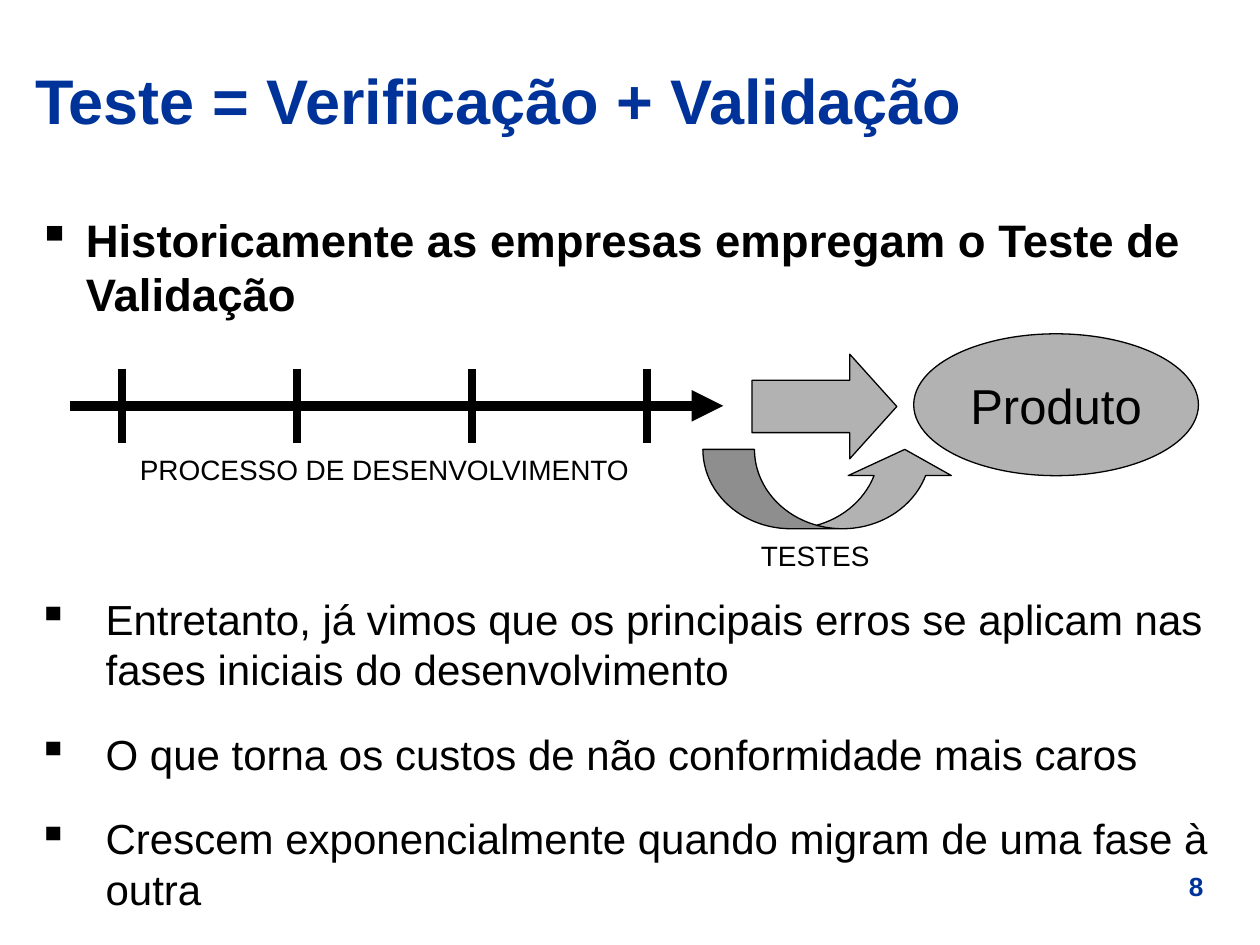
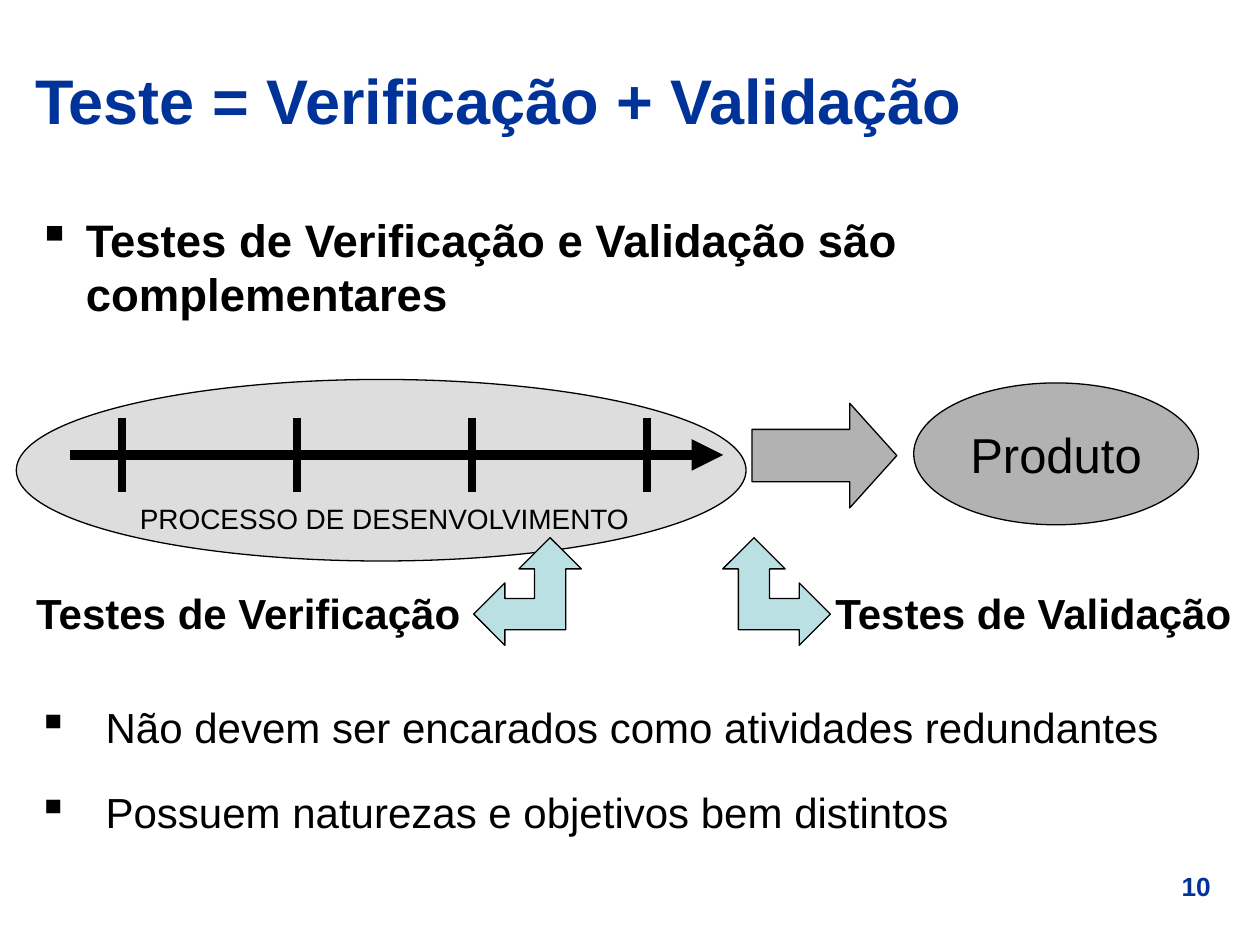
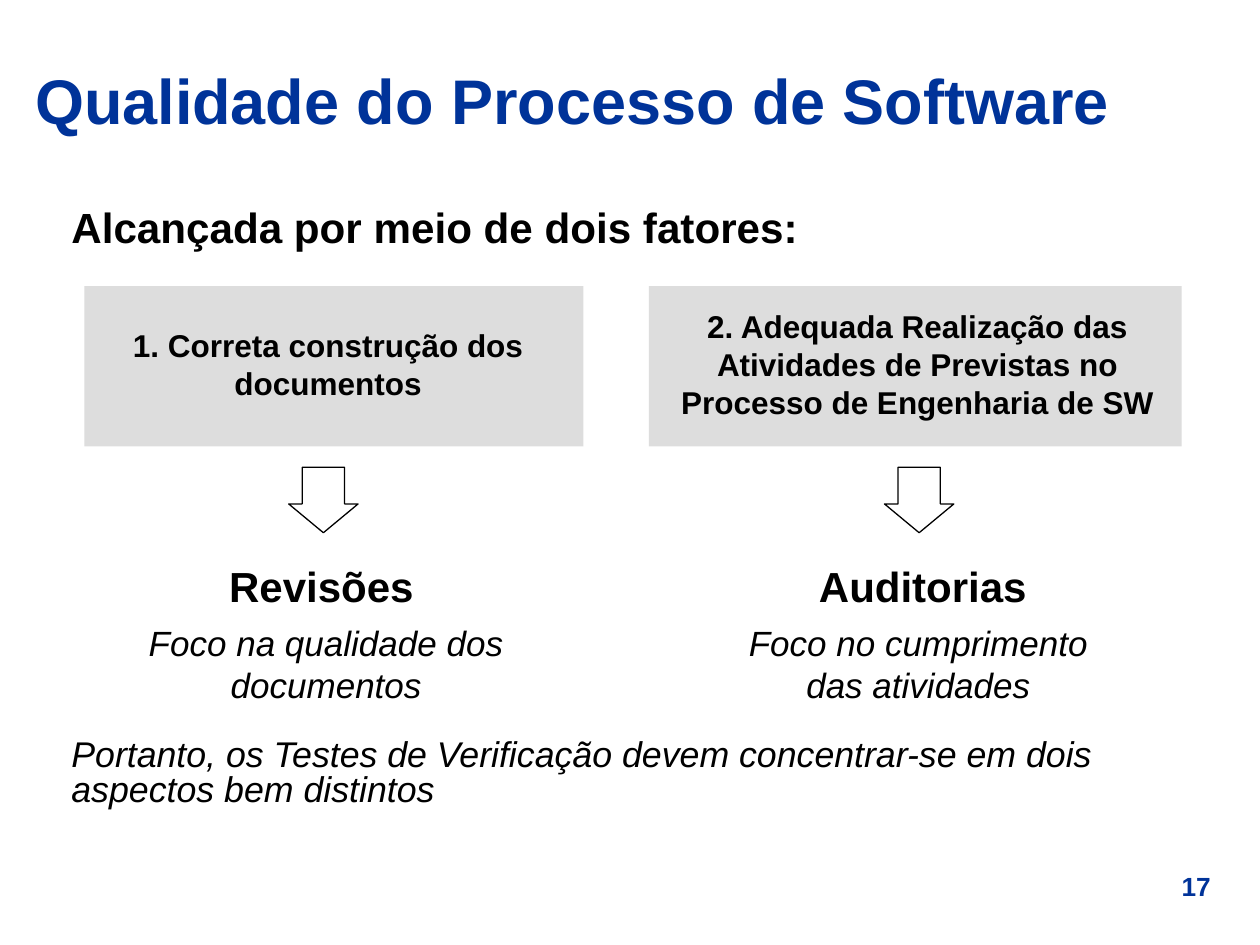
import pptx
import pptx.dml.color
import pptx.enum.shapes
import pptx.enum.text
import pptx.oxml.ns
import pptx.util
from lxml import etree

Cm = pptx.util.Cm
Pt = pptx.util.Pt
RGBColor = pptx.dml.color.RGBColor
MSO_SHAPE = pptx.enum.shapes.MSO_SHAPE
PP_ALIGN = pptx.enum.text.PP_ALIGN
MSO_ANCHOR = pptx.enum.text.MSO_ANCHOR
qn = pptx.oxml.ns.qn

FONT = "Arial"
NAVY = RGBColor(0x00, 0x33, 0x99)
BLACK = RGBColor(0x00, 0x00, 0x00)
WHITE = RGBColor(0xFF, 0xFF, 0xFF)
PALE_GRAY = RGBColor(0xDD, 0xDD, 0xDD)
MID_GRAY = RGBColor(0xB2, 0xB2, 0xB2)
AQUA = RGBColor(0xBB, 0xE0, 0xE3)

BODY_LEFT, BODY_TOP, BODY_WIDTH = 0.51, 4.14, 24.41
TICK_LEFT, TICK_GAP, TICK_HALF = 2.46, 3.53, 0.75


def add_run(paragraph, text, size, color=BLACK, bold=False, italic=False):
    run = paragraph.add_run()
    run.text = text
    run.font.name = FONT
    run.font.size = Pt(size)
    run.font.color.rgb = color
    run.font.bold = bold
    run.font.italic = italic


def add_text(slide, text, left, top, width, height, size, align=PP_ALIGN.LEFT,
             anchor=MSO_ANCHOR.TOP, wrap=True, spacing=None, **style):
    box = slide.shapes.add_textbox(Cm(left), Cm(top), Cm(width), Cm(height))
    frame = box.text_frame
    frame.word_wrap = wrap
    frame.vertical_anchor = anchor
    paragraph = frame.paragraphs[0]
    paragraph.alignment = align
    paragraph.line_spacing = spacing
    add_run(paragraph, text, size, **style)


def add_bullets(slide, items, top, height, size, indent, before, after, bold=False):
    box = slide.shapes.add_textbox(Cm(BODY_LEFT), Cm(top), Cm(BODY_WIDTH), Cm(height))
    frame = box.text_frame
    frame.word_wrap = True
    for index, item in enumerate(items):
        paragraph = frame.add_paragraph() if index else frame.paragraphs[0]
        if index:
            paragraph.space_before = Pt(before)
        paragraph.space_after = Pt(after)
        properties = paragraph._p.get_or_add_pPr()
        properties.set("marL", str(Cm(indent)))
        properties.set("indent", str(-Cm(indent)))
        bullet_color = etree.SubElement(properties, qn("a:buClr"))
        etree.SubElement(bullet_color, qn("a:srgbClr"), val=str(BLACK))
        etree.SubElement(properties, qn("a:buChar"), char="▪")
        add_run(paragraph, item, size, bold=bold)


def add_lead(slide, text):
    """Add the bold opening bullet of a slide."""
    add_bullets(slide, [text], BODY_TOP, 12.8, 26, 0.97, 8.1, 13, bold=True)


def add_points(slide, items, top, height):
    """Add the plain bullets below a diagram."""
    add_bullets(slide, items, top, height, 24, 1.37, 7.5, 12)


def add_figure(slide, kind, left, top, width, height, fill, outlined=True, adjustments=()):
    figure = slide.shapes.add_shape(kind, Cm(left), Cm(top), Cm(width), Cm(height))
    figure.shadow.inherit = False
    figure.fill.solid()
    figure.fill.fore_color.rgb = fill
    if outlined:
        figure.line.color.rgb = BLACK
        figure.line.width = Pt(0.75)
    else:
        figure.line.fill.background()
    for index, value in enumerate(adjustments):
        figure.adjustments[index] = value
    return figure


def add_line(slide, x1, y1, x2, y2, width, arrow=False):
    line = slide.shapes.add_connector(
        pptx.enum.shapes.MSO_CONNECTOR.STRAIGHT, Cm(x1), Cm(y1), Cm(x2), Cm(y2))
    line.line.color.rgb = BLACK
    line.line.width = Pt(width)
    if arrow:
        etree.SubElement(line.line._get_or_add_ln(), qn("a:tailEnd"), type="triangle")
    etree.SubElement(line._element.spPr, qn("a:effectLst"))


def add_process(slide, axis):
    """Draw the development timeline at height axis, leading to the product."""
    add_line(slide, 1.42, axis, 14.58, axis, 6, arrow=True)
    for step in range(4):
        tick = TICK_LEFT + step * TICK_GAP
        add_line(slide, tick, axis - TICK_HALF, tick, axis + TICK_HALF, 4.5)
    add_text(slide, "PROCESSO DE DESENVOLVIMENTO", 2.57, axis + 0.81, 10.41, 0.94, 16,
             wrap=False)
    add_figure(slide, MSO_SHAPE.RIGHT_ARROW, 15.16, axis - 1.04, 2.92, 2.11, MID_GRAY,
               adjustments=(0.5, 0.45))
    product = add_figure(slide, MSO_SHAPE.OVAL, 18.42, axis - 1.45, 5.74, 2.86, MID_GRAY)
    frame = product.text_frame
    frame.word_wrap = False
    frame.vertical_anchor = MSO_ANCHOR.MIDDLE
    frame.paragraphs[0].alignment = PP_ALIGN.CENTER
    add_run(frame.paragraphs[0], "Produto", 28)


def add_slide(deck, title, number):
    slide = deck.slides.add_slide(deck.slide_layouts[6])
    add_text(slide, number, 23.11, 17.42, 2.01, 0.89, 15, align=PP_ALIGN.CENTER,
             color=NAVY, bold=True)
    add_text(slide, title, 0.46, 0.71, 24.43, 2.57, 36, anchor=MSO_ANCHOR.MIDDLE,
             color=NAVY, bold=True)
    return slide


def add_validation_slide(deck):
    slide = add_slide(deck, "Teste = Verificação + Validação", "8")
    add_lead(slide, "Historicamente as empresas empregam o Teste de Validação")
    add_process(slide, 8.18)
    add_figure(slide, MSO_SHAPE.CURVED_UP_ARROW, 14.17, 9.06, 5.11, 1.6, MID_GRAY,
               adjustments=(0.65, 1.3, 0.33))
    add_text(slide, "TESTES", 15.09, 10.74, 2.69, 0.94, 16, wrap=False)
    add_points(slide, [
        "Entretanto, já vimos que os principais erros se aplicam nas fases iniciais "
        "do desenvolvimento",
        "O que torna os custos de não conformidade mais caros",
        "Crescem exponencialmente quando migram de uma fase à outra",
    ], 11.84, 5.41)


def add_complementary_slide(deck):
    slide = add_slide(deck, "Teste = Verificação + Validação", "10")
    add_figure(slide, MSO_SHAPE.OVAL, 0.33, 7.65, 14.71, 3.66, PALE_GRAY)
    add_lead(slide, "Testes de Verificação e Validação são complementares")
    add_process(slide, 9.17)
    for text, text_left, text_width, arrow_left, rotation in (
            ("Testes de Verificação", 0.48, 9.4, 9.55, 0),
            ("Testes de Validação", 16.59, 8.81, 14.57, 90)):
        add_text(slide, text, text_left, 11.71, text_width, 1.42, 24, bold=True)
        arrow = add_figure(slide, MSO_SHAPE.LEFT_UP_ARROW, arrow_left, 10.84, 2.17, 2.17,
                           AQUA, adjustments=(0.29, 0.29, 0.29))
        arrow.rotation = rotation
    add_points(slide, [
        "Não devem ser encarados como atividades redundantes",
        "Possuem naturezas e objetivos bem distintos",
    ], 14.02, 3.1)


def add_factor(slide, card, caption, arrow_left, activity, focus):
    """Add one factor; each part is its text, if any, with its left and width."""
    card_left, card_width = card
    add_figure(slide, MSO_SHAPE.RECTANGLE, card_left, 5.77, card_width, 3.23, PALE_GRAY,
               outlined=False)
    text, left, width, height = caption
    add_text(slide, text, left, 7.34 - height / 2, width, height, 18,
             align=PP_ALIGN.CENTER, anchor=MSO_ANCHOR.MIDDLE, bold=True)
    add_figure(slide, MSO_SHAPE.DOWN_ARROW, arrow_left, 9.42, 1.4, 1.32, WHITE,
               adjustments=(0.61, 0.44))
    text, left, width = activity
    add_text(slide, text, left, 11.18, width, 1.27, 24, wrap=False, bold=True)
    text, left, width = focus
    add_text(slide, text, left, 12.4, width, 1.96, 20, align=PP_ALIGN.CENTER, italic=True)


def add_quality_slide(deck):
    slide = add_slide(deck, "Qualidade do Processo de Software", "17")
    add_text(slide, "Alcançada por meio de dois fatores:", 1.19, BODY_TOP, 23.7, 1.2, 24.1,
             spacing=0.8, bold=True)
    add_factor(slide, (1.7, 10.06),
               ("1. Correta construção dos documentos", 1.93, 9.37, 1.78),
               5.82, ("Revisões", 4.37, 4.22),
               ("Foco na qualidade dos documentos", 2.69, 7.77))
    add_factor(slide, (13.08, 10.74),
               ("2. Adequada Realização das Atividades de Previstas no Processo de "
                "Engenharia de SW", 13.44, 10.11, 2.54),
               17.83, ("Auditorias", 16.26, 4.7),
               ("Foco no cumprimento das atividades", 14.63, 7.77))
    add_text(slide, "Portanto, os Testes de Verificação devem concentrar-se em dois "
             "aspectos bem distintos", 1.19, 14.8, 23.7, 1.8, 20.4, spacing=0.8, italic=True)


def main():
    deck = pptx.Presentation()
    deck.slide_width, deck.slide_height = Cm(25.4), Cm(19.05)
    add_validation_slide(deck)
    add_complementary_slide(deck)
    add_quality_slide(deck)
    deck.save("out.pptx")


if __name__ == "__main__":
    main()
